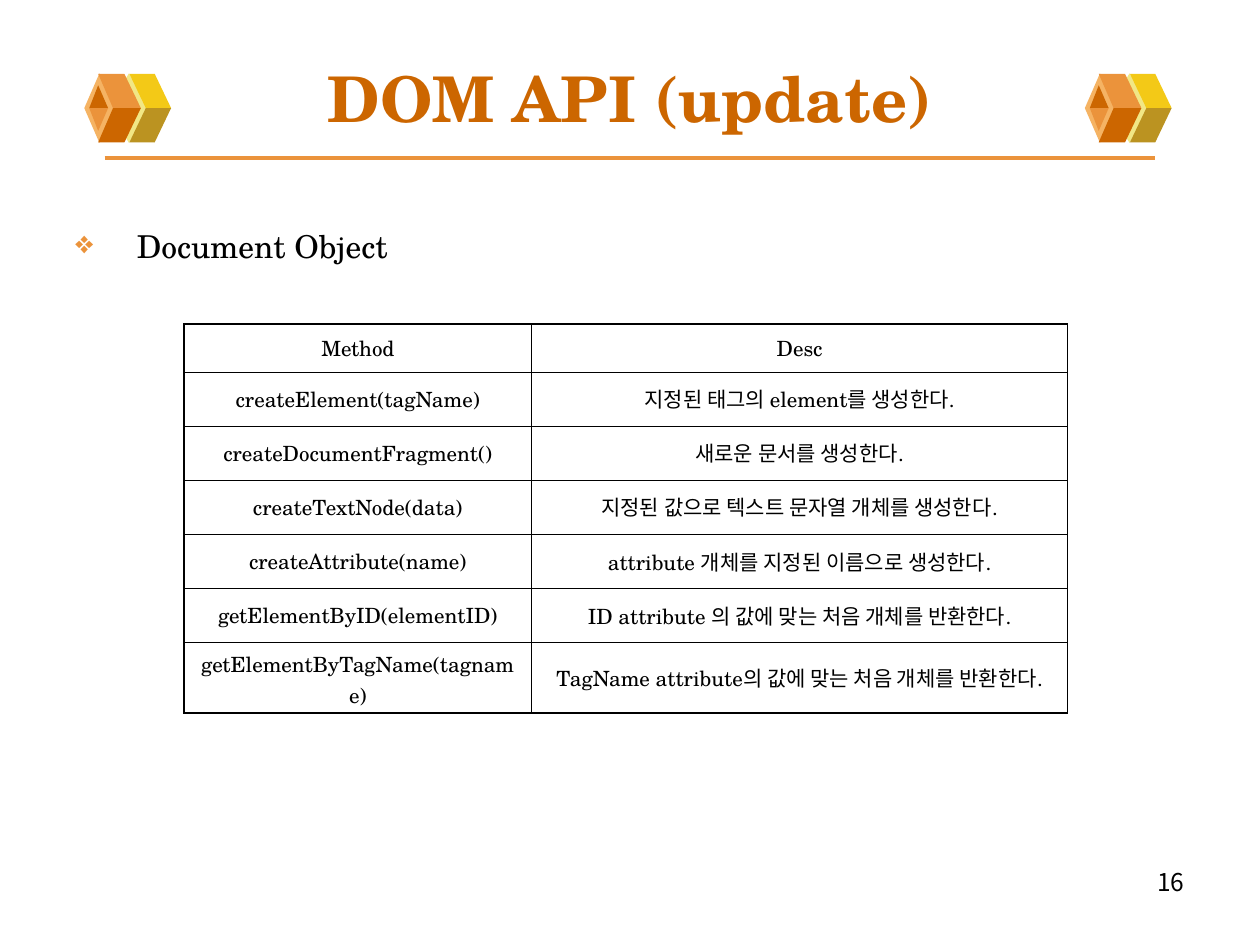
from lxml import etree
from pptx import Presentation
from pptx.dml.color import RGBColor
from pptx.enum.shapes import MSO_CONNECTOR, MSO_SHAPE
from pptx.enum.text import MSO_ANCHOR, PP_ALIGN
from pptx.oxml.ns import qn
from pptx.util import Cm, Pt

STRAIGHT = MSO_CONNECTOR.STRAIGHT
DIAMOND = MSO_SHAPE.DIAMOND
TOP, MIDDLE = MSO_ANCHOR.TOP, MSO_ANCHOR.MIDDLE
LEFT, CENTER, RIGHT = PP_ALIGN.LEFT, PP_ALIGN.CENTER, PP_ALIGN.RIGHT

SERIF, SANS = "TeX Gyre Schola", "Noto Sans CJK KR"
BLACK, ORANGE, DARK_ORANGE = "000000", "EB933B", "CC6600"
LIGHT_ORANGE, CREAM, YELLOW, OLIVE = "F5B363", "F1E785", "F3C917", "BB9321"


def color(hex_code):
    return RGBColor.from_string(hex_code)


def write(frame, text, size=12, font=SERIF, ink=BLACK, bold=False,
          align=LEFT, space_before=0):
    """Put one formatted paragraph in a text frame and return it."""
    frame.word_wrap = True
    paragraph = frame.paragraphs[0]
    paragraph.alignment = align
    paragraph.space_before = Pt(space_before)
    run = paragraph.add_run()
    run.text = text
    run.font.size = Pt(size)
    run.font.name = font
    run.font.bold = bold
    run.font.color.rgb = color(ink)
    east_asian = etree.SubElement(run._r.get_or_add_rPr(), qn("a:ea"))
    east_asian.set("typeface", SANS)
    return paragraph


presentation = Presentation()
presentation.slide_width, presentation.slide_height = Cm(25.4), Cm(19.05)
slide = presentation.slides.add_slide(presentation.slide_layouts[6])
shapes = slide.shapes

# Rule under the title
rule = shapes.add_connector(STRAIGHT, Cm(2.11), Cm(3.18), Cm(23.29), Cm(3.18))
rule.line.color.rgb = color(ORANGE)
rule.line.width = Pt(2.25)
etree.SubElement(rule._element.spPr, qn("a:effectLst"))

# Cube ornaments: points are measured from the cube's left edge and its middle
CUBE_MIDDLE = 2.18
right_face = [(1.24, 0), (1.75, 0), (1.42, 0.69), (0.91, 0.69)]
left_face = [(0.58, 0), (1.14, 0), (0.81, 0.69), (0.28, 0.69)]
hole = [(0.28, 0.46), (0.1, 0), (0.48, 0)]
cube_layers = [
    ((0.48, 0.84, CREAM), [(right_face, YELLOW, OLIVE)]),
    ((0, 0.61, LIGHT_ORANGE), [(left_face, ORANGE, DARK_ORANGE),
                               (hole, DARK_ORANGE, ORANGE)]),
]
for cube_left in (1.7, 21.87):
    for (offset, width, diamond_fill), faces in cube_layers:
        diamond = shapes.add_shape(DIAMOND, Cm(cube_left + offset),
                                   Cm(CUBE_MIDDLE - 0.7), Cm(width), Cm(1.4))
        parts = [(diamond, diamond_fill)]
        for points, upper_fill, lower_fill in faces:
            for direction, face_fill in ((-1, upper_fill), (1, lower_fill)):
                corners = [(Cm(cube_left + x), Cm(CUBE_MIDDLE + direction * y))
                           for x, y in points]
                builder = shapes.build_freeform(*corners[0])
                builder.add_line_segments(corners[1:], close=True)
                parts.append((builder.convert_to_shape(), face_fill))
        for shape, fill in parts:
            shape.shadow.inherit = False
            shape.fill.solid()
            shape.fill.fore_color.rgb = color(fill)
            shape.line.fill.background()

# Title, heading and slide number
title = shapes.add_textbox(Cm(1.27), Cm(0.76), Cm(22.86), Cm(2.41))
title.text_frame.vertical_anchor = MIDDLE
write(title.text_frame, "DOM API (update)", size=36, ink=DARK_ORANGE,
      bold=True, align=CENTER)

body = shapes.add_textbox(Cm(1.27), Cm(4.45), Cm(23.04), Cm(12.57))
body.text_frame.vertical_anchor = TOP
heading = write(body.text_frame, "Document Object", size=18, space_before=4.5)
properties = heading._p.get_or_add_pPr()
properties.set("marL", str(Cm(1.24)))
properties.set("indent", str(-Cm(1.24)))
bullet_color = etree.SubElement(properties, qn("a:buClr"))
etree.SubElement(bullet_color, qn("a:srgbClr")).set("val", ORANGE)
etree.SubElement(properties, qn("a:buChar")).set("char", "❖")

number = shapes.add_textbox(Cm(18.21), Cm(17.35), Cm(5.92), Cm(0.76))
write(number.text_frame, "16", size=14, font=SANS, align=RIGHT)

# Table of methods
methods = [
    ("Method", "Desc"),
    ("createElement(tagName)", "지정된 태그의 element를 생성한다."),
    ("createDocumentFragment()", "새로운 문서를 생성한다."),
    ("createTextNode(data)", "지정된 값으로 텍스트 문자열 개체를 생성한다."),
    ("createAttribute(name)", "attribute 개체를 지정된 이름으로 생성한다."),
    ("getElementByID(elementID)", "ID attribute 의 값에 맞는 처음 개체를 반환한다."),
    ("getElementByTagName(tagname)",
     "TagName attribute의 값에 맞는 처음 개체를 반환한다."),
]
column_widths = [7.01, 10.8]
row_heights = [0.97] + [1.09] * 5 + [1.42]
last_row, last_column = len(row_heights) - 1, len(column_widths) - 1
table = shapes.add_table(len(row_heights), len(column_widths), Cm(3.71), Cm(6.53),
                         Cm(sum(column_widths)), Cm(sum(row_heights))).table
table.first_row = table.horz_banding = False
for column, width in zip(table.columns, column_widths):
    column.width = Cm(width)
for row, height in zip(table.rows, row_heights):
    row.height = Cm(height)

for row_index, texts in enumerate(methods):
    for column_index, text in enumerate(texts):
        cell = table.cell(row_index, column_index)
        cell.vertical_anchor = MIDDLE
        write(cell.text_frame, text, align=CENTER, space_before=3)
        cell.fill.background()
        outer_edges = {"a:lnL": column_index == 0,
                       "a:lnR": column_index == last_column,
                       "a:lnT": row_index == 0,
                       "a:lnB": row_index == last_row}
        cell_properties = cell._tc.get_or_add_tcPr()
        for position, (edge, is_outer) in enumerate(outer_edges.items()):
            border = etree.Element(qn(edge), w=str(Pt(1.08 if is_outer else 0.45)))
            border_fill = etree.SubElement(border, qn("a:solidFill"))
            etree.SubElement(border_fill, qn("a:srgbClr")).set("val", BLACK)
            cell_properties.insert(position, border)

presentation.save("out.pptx")
